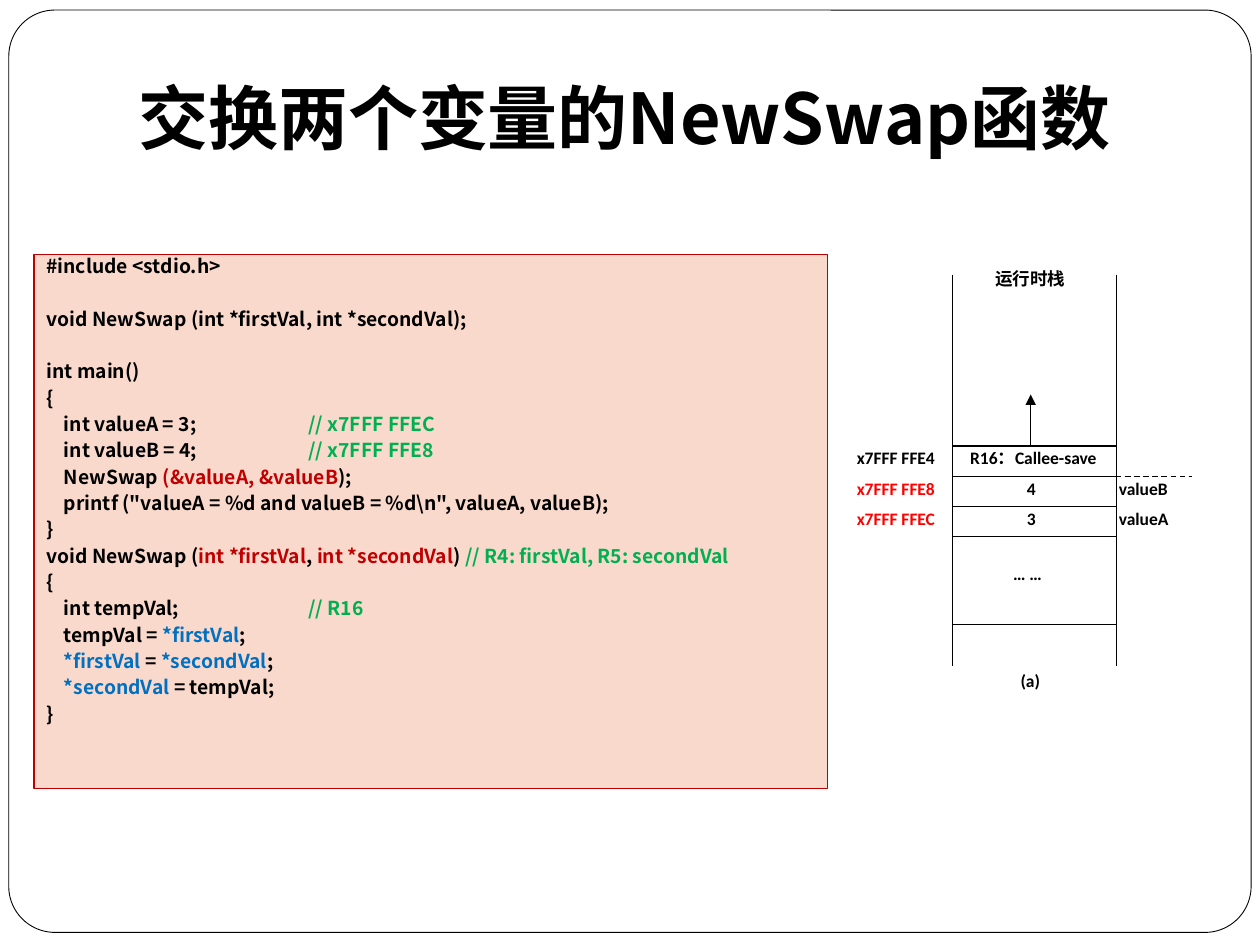
import pptx
import pptx.util
import pptx.dml.color
import pptx.enum.dml
import pptx.enum.shapes
import pptx.enum.text
import pptx.oxml.ns
import lxml.etree

Inches = pptx.util.Inches
Points = pptx.util.Pt
qualified = pptx.oxml.ns.qn
SHAPES = pptx.enum.shapes.MSO_SHAPE

COLOURS = {
    "ink": "000000",
    "paper": "FFFFFF",
    "panel": "FAD9CD",
    "argument": "C00000",
    "comment": "00B050",
    "pointer": "0070C0",
    "address": "FF0000",
}
CJK_FONT = "Noto Sans CJK SC"
LATIN_FONT = "Calibri"
BLANK_LINE = 15

CODE = [
    [("#include <stdio.h>", "ink")],
    [],
    [("void NewSwap (int *firstVal, int *secondVal);", "ink")],
    [],
    [("int main()", "ink")],
    [("{", "ink")],
    [("    int valueA = 3;\t", "ink"), ("// x7FFF FFEC", "comment")],
    [("    int valueB = 4;\t", "ink"), ("// x7FFF FFE8", "comment")],
    [("    NewSwap ", "ink"), ("(&valueA, &valueB", "argument"), (");", "ink")],
    [('    printf ("valueA = %d and valueB = %d\\n", valueA, valueB);', "ink")],
    [("}", "ink")],
    [("void NewSwap (", "ink"), ("int *firstVal", "argument"), (", ", "ink"),
     ("int *secondVal", "argument"), (") ", "ink"),
     ("// R4: firstVal, R5: secondVal", "comment")],
    [("{", "ink")],
    [("    int tempVal;\t", "ink"), ("// R16", "comment")],
    [("    tempVal = ", "ink"), ("*firstVal", "pointer"), (";", "ink")],
    [("    *firstVal ", "pointer"), ("= ", "ink"), ("*secondVal", "pointer"), (";", "ink")],
    [("    *secondVal ", "pointer"), ("= tempVal;", "ink")],
    [("}", "ink")],
]


def colour(name):
    return pptx.dml.color.RGBColor.from_string(COLOURS[name])


def set_font(para, size, name, shade="ink"):
    para.font.size = Points(size)
    para.font.bold = True
    para.font.name = name
    para.font.color.rgb = colour(shade)
    defaults = para._p.get_or_add_pPr().find(qualified("a:defRPr"))
    east_asian = lxml.etree.SubElement(defaults, qualified("a:ea"))
    east_asian.set("typeface", CJK_FONT)


def add_panel(page, kind, area, fill, line, width):
    panel = page.shapes.add_shape(kind, *map(Inches, area))
    panel.shadow.inherit = False
    panel.fill.solid()
    panel.fill.fore_color.rgb = colour(fill)
    panel.line.color.rgb = colour(line)
    panel.line.width = Points(width)
    return panel


def add_label(page, area, text, shade="ink"):
    box = page.shapes.add_textbox(*map(Inches, area))
    frame = box.text_frame
    frame.word_wrap = True
    frame.margin_left = frame.margin_right = Inches(0.02)
    frame.margin_top = frame.margin_bottom = Inches(0.01)
    para = frame.paragraphs[0]
    para.text = text
    set_font(para, 10, LATIN_FONT, shade)


def add_line(page, start, end, dashed=False, arrow=False):
    line = page.shapes.add_connector(
        pptx.enum.shapes.MSO_CONNECTOR.STRAIGHT, *map(Inches, start + end))
    line.line.color.rgb = colour("ink")
    line.line.width = Points(0.75)
    if dashed:
        line.line.dash_style = pptx.enum.dml.MSO_LINE.DASH
    if arrow:
        tail = lxml.etree.SubElement(line.line._get_or_add_ln(), qualified("a:tailEnd"))
        tail.set("type", "triangle")
    lxml.etree.SubElement(line._element.spPr, qualified("a:effectLst"))


def draw_frame(page, area):
    frame = add_panel(page, SHAPES.ROUNDED_RECTANGLE, area, "paper", "ink", 0.5)
    frame.adjustments[0] = 0.05


def draw_title(page, area):
    box = page.shapes.add_textbox(*map(Inches, area))
    box.text_frame.word_wrap = True
    box.text_frame.vertical_anchor = pptx.enum.text.MSO_ANCHOR.MIDDLE
    para = box.text_frame.paragraphs[0]
    para.text = "交换两个变量的NewSwap函数"
    set_font(para, 40, CJK_FONT)


def draw_code(page, area):
    panel = add_panel(page, SHAPES.RECTANGLE, area, "panel", "argument", 0.75)
    frame = panel.text_frame
    frame.word_wrap = True
    frame.vertical_anchor = pptx.enum.text.MSO_ANCHOR.TOP
    comment_column = Inches(area[2] * 0.33)
    para, gap = frame.paragraphs[0], 0
    for number, line in enumerate(CODE):
        if not line:
            gap += BLANK_LINE
            continue
        if number:
            para = frame.add_paragraph()
            para.space_before = Points(5.8 + gap)
        gap = 0
        para.alignment = pptx.enum.text.PP_ALIGN.LEFT
        para.line_spacing = 0.7
        tabs = lxml.etree.SubElement(para._p.get_or_add_pPr(), qualified("a:tabLst"))
        lxml.etree.SubElement(
            tabs, qualified("a:tab"), pos=str(int(comment_column)), algn="l")
        set_font(para, 11, CJK_FONT)
        for text, shade in line:
            span = para.add_run()
            span.text = text
            span.font.color.rgb = colour(shade)


def draw_stack(page, area):
    left, top, width, height = area
    column, row = width / 10, height / 13

    def at(across, down):
        return left + across * column, top + down * row

    first = 5.67
    value_b, value_a, older, bottom = first + 1, first + 2, first + 3, 11.58
    for side in (0, 10):
        add_line(page, at(side, 0), at(side, 12.94))
    for level in (first, value_b, value_a, older, bottom):
        add_line(page, at(0, level), at(10, level))
    add_line(page, at(10, value_b), at(14.6, value_b), dashed=True)
    add_line(page, at(4.77, first), at(4.77, 3.96), arrow=True)

    labels = [
        (2.46, -0.25, 6.3, "运行时栈", "ink"),
        (0.92, first, 9.1, "R16：Callee-save", "ink"),
        (4.38, value_b, 1.5, "4", "ink"),
        (4.38, value_a, 1.5, "3", "ink"),
        (3.54, 9.5, 3.7, "… …", "ink"),
        (4, 13.04, 2.2, "(a)", "ink"),
        (10, value_b, 4.1, "valueB", "ink"),
        (10, value_a, 4.1, "valueA", "ink"),
        (-6, first, 6.5, "x7FFF FFE4", "ink"),
        (-6, value_b, 6.5, "x7FFF FFE8", "address"),
        (-6, value_a, 6.5, "x7FFF FFEC", "address"),
    ]
    for across, down, columns, text, shade in labels:
        add_label(page, at(across, down) + (columns * column, row), text, shade)


def main():
    deck = pptx.Presentation()
    deck.slide_width, deck.slide_height = Inches(10), Inches(7.5)
    page = deck.slides.add_slide(deck.slide_layouts[6])
    draw_frame(page, (0.07, 0.08, 9.86, 7.32))
    draw_title(page, (1, 0.3, 8.5, 1.25))
    draw_code(page, (0.27, 2.02, 6.3, 4.24))
    draw_stack(page, (7.56, 2.18, 1.3, 3.12))
    deck.save("out.pptx")


if __name__ == "__main__":
    main()
